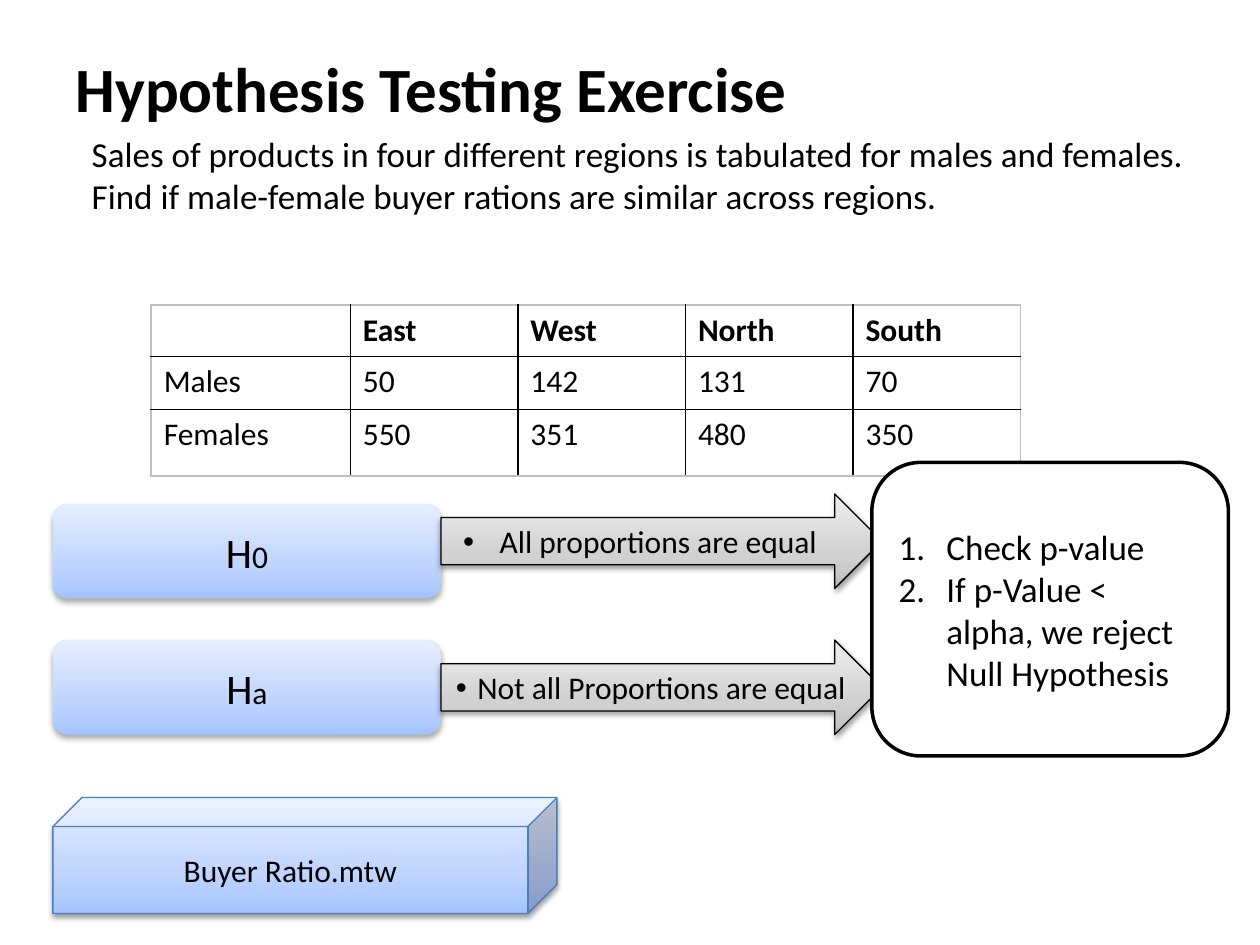
import pptx
import pptx.util
import pptx.dml.color
import pptx.enum.shapes
import pptx.enum.text
import pptx.oxml
import pptx.oxml.ns

Inches, Pt = pptx.util.Inches, pptx.util.Pt
SHAPE = pptx.enum.shapes.MSO_SHAPE
ANCHOR = pptx.enum.text.MSO_ANCHOR
ALIGN = pptx.enum.text.PP_ALIGN
NS = pptx.oxml.ns.nsdecls("a")

TITLE = "Hypothesis Testing Exercise"
INTRO = ("Sales of products in four different regions is tabulated for males and females. "
         "Find if male-female buyer rations are similar across regions.")
ROWS = [["", "East", "West", "North", "South"],
        ["Males", "50", "142", "131", "70"],
        ["Females", "550", "351", "480", "350"]]
COL_WIDTHS = [1.58] + [1.33] * 4
ROW_HEIGHTS = [0.41, 0.42, 0.53]
HYPOTHESES = [
    {"sub": "0", "top": 4, "arrow_top": 3.92, "claim": "All proportions are equal",
     "hang": 0.29, "right": 0.25},
    {"sub": "a", "top": 5.08, "arrow_top": 5.08, "claim": "Not all Proportions are equal",
     "hang": 0.17, "right": 0.08},
]
STEPS = ["Check p-value", "If p-Value < alpha, we reject Null Hypothesis"]
DATA_FILE = "Buyer Ratio.mtw"

BLUE = [(0, "A4C4FF"), (35, "BFD4FF"), (100, "E6EEFF")]
GRAY = [(0, "BDBDBD"), (35, "D1D1D1"), (100, "EEEEEE")]
SOFT = (32, 3.5, 2.2)
FIRM = (38, 3.1, 1.6)


def rgb(value):
    return pptx.dml.color.RGBColor.from_string(value)


def add_run(p, text, size, bold=False):
    r = p.add_run()
    r.text = text
    r.font.name, r.font.size, r.font.bold = "Calibri", Pt(size), bold
    r.font.color.rgb = rgb("000000")


def set_bullet(p, hang, bullet):
    pPr = p._p.get_or_add_pPr()
    pPr.set("marL", str(Inches(hang)))
    pPr.set("indent", str(-Inches(hang)))
    pPr.append(pptx.oxml.parse_xml(f'<a:buFont {NS} typeface="Arial"/>'))
    pPr.append(pptx.oxml.parse_xml(bullet))


def add_block(kind, box, stops, line=None, width=0.75, shadow=None):
    sp = slide.shapes.add_shape(kind, *map(Inches, box))
    sp.shadow.inherit = False
    if len(stops) == 1:
        sp.fill.solid()
        sp.fill.fore_color.rgb = rgb(stops[0][1])
    else:
        sp.fill.gradient()
        grad = sp._element.spPr.find(pptx.oxml.ns.qn("a:gradFill"))
        marks = "".join(f'<a:gs pos="{pos * 1000}"><a:srgbClr val="{color}"/></a:gs>'
                        for pos, color in stops)
        grad.getparent().replace(grad, pptx.oxml.parse_xml(
            f'<a:gradFill {NS} rotWithShape="1"><a:gsLst>{marks}</a:gsLst>'
            '<a:lin ang="16200000" scaled="0"/></a:gradFill>'))
    if line:
        sp.line.color.rgb = rgb(line)
        sp.line.width = Pt(width)
    else:
        sp.line.fill.background()
    if shadow:
        alpha, blur, dist = shadow
        effects = sp._element.spPr.find(pptx.oxml.ns.qn("a:effectLst"))
        effects.append(pptx.oxml.parse_xml(
            f'<a:outerShdw {NS} blurRad="{Pt(blur)}" dist="{Pt(dist)}" dir="5400000" '
            f'rotWithShape="0"><a:srgbClr val="000000"><a:alpha val="{alpha * 1000}"/>'
            '</a:srgbClr></a:outerShdw>'))
    tf = sp.text_frame
    tf.word_wrap = True
    tf.vertical_anchor = ANCHOR.MIDDLE
    tf.paragraphs[0].alignment = ALIGN.CENTER
    return tf


def set_borders(cell, i, j):
    outer = {"L": j == 0, "R": j == len(COL_WIDTHS) - 1,
             "T": i == 0, "B": i == len(ROWS) - 1}
    tcPr = cell._tc.get_or_add_tcPr()
    for k, (side, edge) in enumerate(outer.items()):
        color = "BFBFBF" if edge else "000000"
        tcPr.insert(k, pptx.oxml.parse_xml(
            f'<a:ln{side} {NS} w="{Pt(1)}"><a:solidFill><a:srgbClr val="{color}"/>'
            f'</a:solidFill></a:ln{side}>'))


def add_grid():
    frame = slide.shapes.add_table(len(ROWS), len(COL_WIDTHS), Inches(1.2), Inches(2.42),
                                   Inches(sum(COL_WIDTHS)), Inches(sum(ROW_HEIGHTS)))
    table = frame.table
    for col, width in zip(table.columns, COL_WIDTHS):
        col.width = Inches(width)
    for i, (row, height) in enumerate(zip(ROWS, ROW_HEIGHTS)):
        table.rows[i].height = Inches(height)
        for j, text in enumerate(row):
            cell = table.cell(i, j)
            cell.fill.background()
            set_borders(cell, i, j)
            if text:
                add_run(cell.text_frame.paragraphs[0], text, 18, i == 0)


prs = pptx.Presentation()
prs.slide_width, prs.slide_height = Inches(10), Inches(7.5)
slide = prs.slides.add_slide(prs.slide_layouts[5])

title = slide.shapes.title
title.left, title.top, title.width, title.height = map(Inches, (0.5, 0.3, 9, 0.78))
title.text_frame.vertical_anchor = ANCHOR.MIDDLE
p = title.text_frame.paragraphs[0]
p.alignment = ALIGN.LEFT
add_run(p, TITLE, 36, True)

tf = slide.shapes.add_textbox(*map(Inches, (0.63, 1, 9.2, 0.9))).text_frame
tf.word_wrap = True
add_run(tf.paragraphs[0], INTRO, 20)

add_grid()

for h in HYPOTHESES:
    p = add_block(SHAPE.ROUNDED_RECTANGLE, (0.42, h["top"], 3.08, 0.75), BLUE,
                  shadow=SOFT).paragraphs[0]
    add_run(p, "H", 24)
    add_run(p, h["sub"], 18)
    tf = add_block(SHAPE.RIGHT_ARROW, (3.5, h["arrow_top"], 3.5, 0.75), GRAY, "000000",
                   shadow=FIRM)
    tf.margin_right = Inches(h["right"])
    set_bullet(tf.paragraphs[0], h["hang"], f'<a:buChar {NS} char="•"/>')
    add_run(tf.paragraphs[0], h["claim"], 18)

tf = add_block(SHAPE.ROUNDED_RECTANGLE, (6.92, 3.67, 2.83, 2.33), [(0, "FFFFFF")], "000000", 2)
for i, step in enumerate(STEPS):
    p = tf.add_paragraph() if i else tf.paragraphs[0]
    p.alignment = ALIGN.LEFT
    set_bullet(p, 0.38, f'<a:buAutoNum {NS} type="arabicPeriod"/>')
    add_run(p, step, 20)

tf = add_block(SHAPE.CUBE, (0.42, 6.33, 4, 0.92), BLUE, "4B7EBC", shadow=FIRM)
add_run(tf.paragraphs[0], DATA_FILE, 18)

prs.save("out.pptx")
